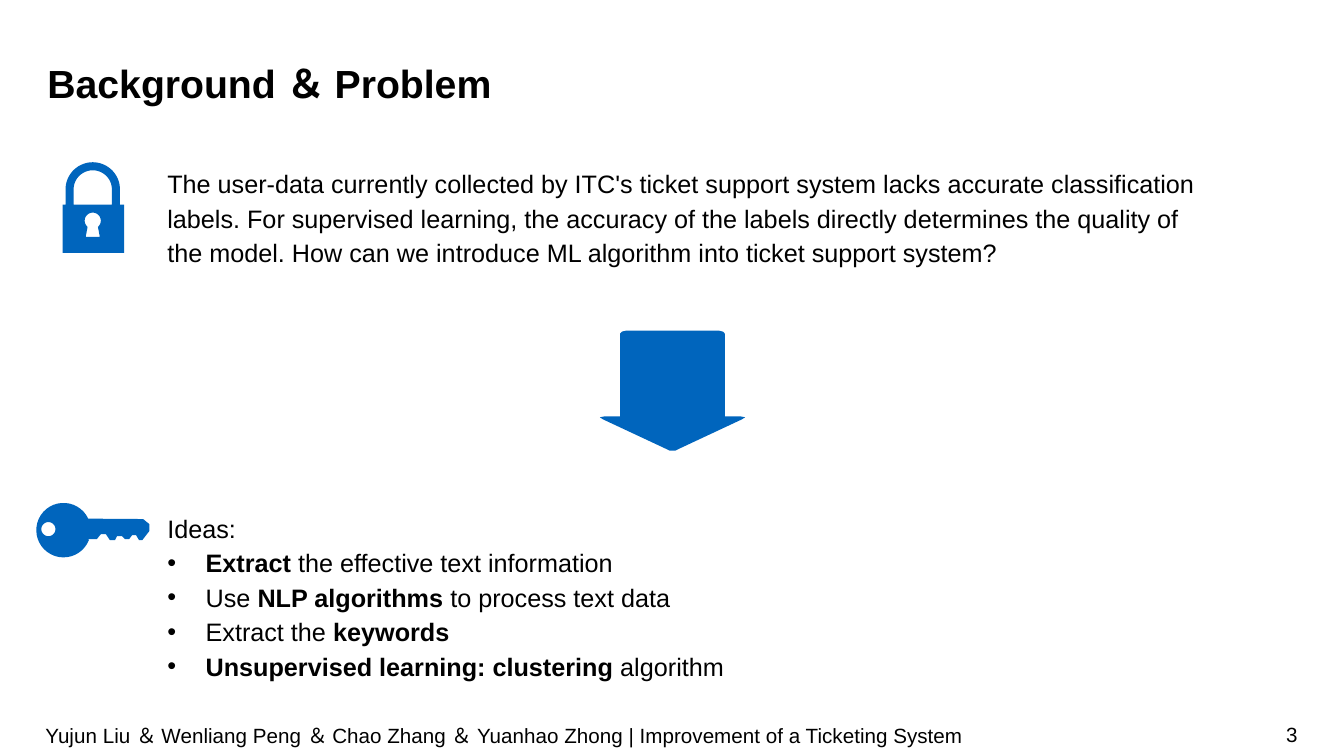
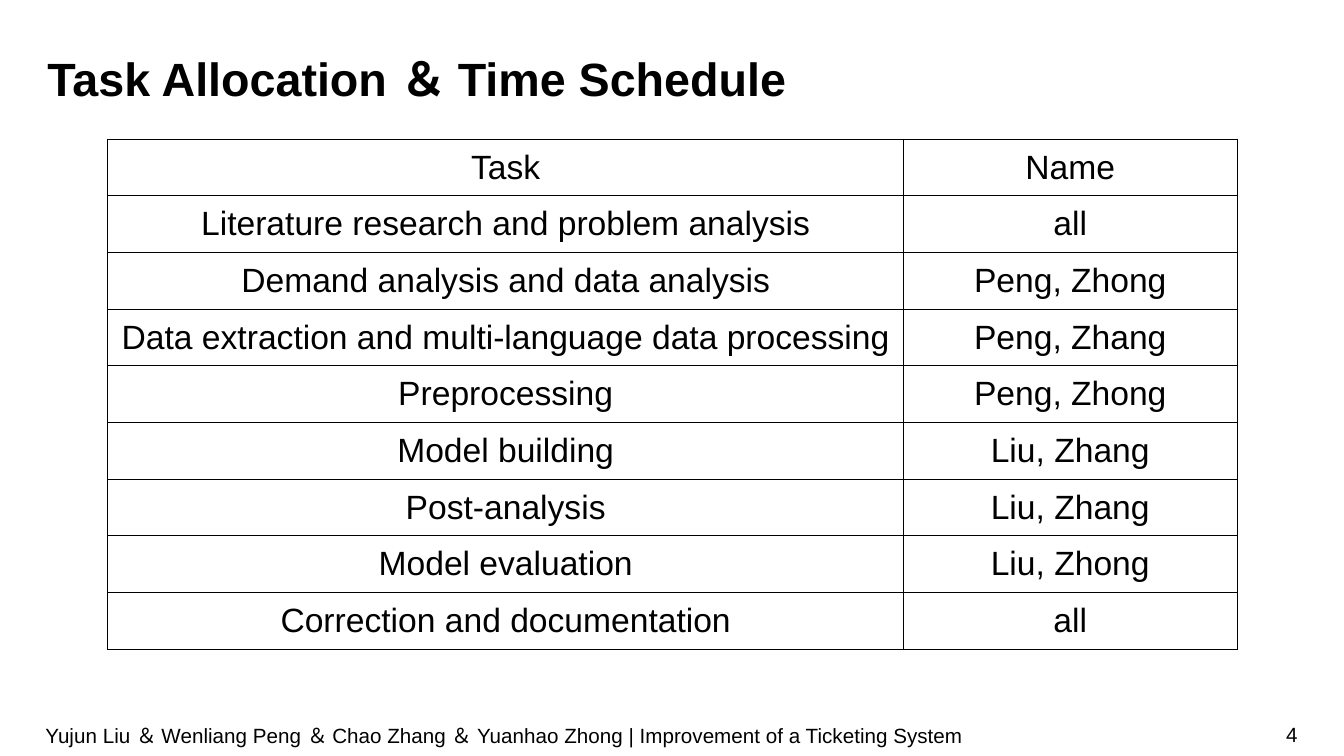
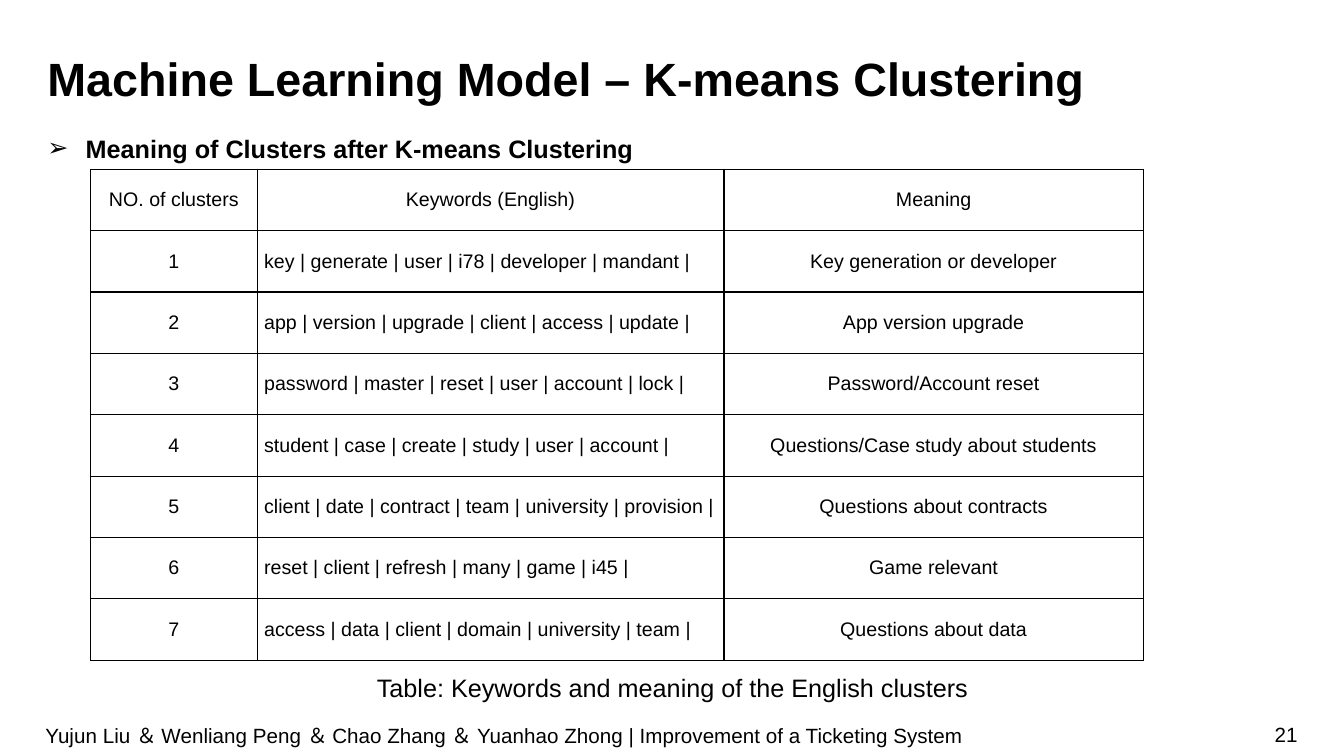
from math import cos, radians, sin

from lxml.etree import SubElement
from pptx import Presentation
from pptx.dml.color import RGBColor
from pptx.enum.text import MSO_ANCHOR as Anchor, MSO_AUTO_SIZE as AutoSize, PP_ALIGN as Align
from pptx.oxml import parse_xml
from pptx.oxml.ns import nsdecls, qn
from pptx.util import Inches, Pt

# Shared style
FONT, BLACK, BLUE = "Arial", "000000", "0065BD"
LIST_INDENT = 0.38
TITLE_BOX = (0.47, 0.46, 12.41, 0.56)
FOOTER_BOX = (0.45, 7.08, 11.42, 0.42)
NUMBER_BOX = (9.88, 7.08, 2.99, 0.4)
FOOTER = ("Yujun Liu ＆ Wenliang Peng ＆ Chao Zhang ＆ Yuanhao Zhong"
          " | Improvement of a Ticketing System")
TITLE_ONLY, TITLE_AND_BODY = 5, 1

# Content
PROBLEM = ("The user-data currently collected by ITC's ticket support system lacks accurate "
           "classification labels. For supervised learning, the accuracy of the labels directly "
           "determines the quality of the model. How can we introduce ML algorithm into ticket "
           "support system?")
# Double asterisks enclose bold words
IDEAS = [
    ("Ideas:", None),
    ("**Extract** the effective text information", "•"),
    ("Use **NLP algorithms** to process text data", "•"),
    ("Extract the **keywords**", "•"),
    ("**Unsupervised learning: clustering** algorithm", "•"),
]
TASKS = [
    ("Task", "Name"),
    ("Literature research and problem analysis", "all"),
    ("Demand analysis and data analysis", "Peng, Zhong"),
    ("Data extraction and multi-language data processing", "Peng, Zhang"),
    ("Preprocessing", "Peng, Zhong"),
    ("Model building", "Liu, Zhang"),
    ("Post-analysis", "Liu, Zhang"),
    ("Model evaluation", "Liu, Zhong"),
    ("Correction and documentation", "all"),
]
CLUSTERS = [
    ("NO. of clusters", "Keywords (English)", "Meaning"),
    ("1", "key | generate | user | i78 | developer | mandant |", "Key generation or developer"),
    ("2", "app | version | upgrade | client | access | update |", "App version upgrade"),
    ("3", "password | master | reset | user | account | lock |", "Password/Account reset"),
    ("4", "student | case | create | study | user | account |",
     "Questions/Case study about students"),
    ("5", "client | date | contract | team | university | provision |",
     "Questions about contracts"),
    ("6", "reset | client | refresh | many | game | i45 |", "Game relevant"),
    ("7", "access | data | client | domain | university | team |", "Questions about data"),
]


# Helpers
def color(value):
    return RGBColor.from_string(value)


def apply_format(target, formats):
    for name, value in formats.items():
        setattr(target, name, value)


def box(values):
    return [Inches(value) for value in values]


def set_bullet(paragraph, bullet):
    properties = paragraph._p.get_or_add_pPr()
    indent = Inches(LIST_INDENT) if bullet else 0
    properties.set("marL", str(indent))
    properties.set("indent", str(-indent))
    if bullet:
        SubElement(properties, qn("a:buFont")).set("typeface", FONT)
        SubElement(properties, qn("a:buChar")).set("char", bullet)
    else:
        SubElement(properties, qn("a:buNone"))


def write(paragraph, text, size, **formats):
    apply_format(paragraph, {"alignment": Align.LEFT, "space_before": Pt(0),
                             "space_after": Pt(0), **formats})
    for index, piece in enumerate(text.split("**")):
        if piece:
            run = paragraph.add_run()
            run.text = piece
            apply_format(run.font, {"name": FONT, "size": Pt(size), "bold": index % 2 == 1})
            run.font.color.rgb = color(BLACK)


def prepare_frame(shape, **formats):
    frame = shape.text_frame
    apply_format(frame, {"margin_left": 0, "margin_right": 0, "margin_top": 0,
                         "margin_bottom": 0, "word_wrap": True, "auto_size": AutoSize.NONE,
                         "vertical_anchor": Anchor.TOP, **formats})
    return frame


def place(shape, position):
    apply_format(shape, dict(zip(("left", "top", "width", "height"), box(position))))


def add_text(slide, position, text, size, frame_formats=None, **formats):
    shape = slide.shapes.add_textbox(*box(position))
    frame = prepare_frame(shape, **(frame_formats or {}))
    write(frame.paragraphs[0], text, size, **formats)


def fill_body(slide, position, items, **formats):
    body = slide.placeholders[1]
    place(body, position)
    frame = prepare_frame(body)
    for index, (text, bullet) in enumerate(items):
        paragraph = frame.add_paragraph() if index else frame.paragraphs[0]
        write(paragraph, text, 18, **formats)
        set_bullet(paragraph, bullet)


def add_slide(presentation, layout, title, title_size, number):
    slide = presentation.slides.add_slide(presentation.slide_layouts[layout])
    place(slide.shapes.title, TITLE_BOX)
    frame = prepare_frame(slide.shapes.title)
    write(frame.paragraphs[0], f"**{title}**", title_size, line_spacing=Pt(42.7))
    footer_frame = {"vertical_anchor": Anchor.MIDDLE,
                    "margin_top": Inches(0.05), "margin_bottom": Inches(0.05)}
    add_text(slide, NUMBER_BOX, str(number), 14.7, footer_frame, alignment=Align.RIGHT)
    add_text(slide, FOOTER_BOX, FOOTER, 14.7, footer_frame)
    return slide


def add_grid(slide, position, widths, rows, size, line_width, margin=0, left_column=None,
             spacing=0):
    table = slide.shapes.add_table(len(rows), len(widths), *box(position)).table
    apply_format(table, {"first_row": False, "horz_banding": False})
    for column, width in zip(table.columns, widths):
        column.width = Inches(width)
    for row_index, row in enumerate(rows):
        table.rows[row_index].height = Inches(position[3] / len(rows))
        for column_index, text in enumerate(row):
            cell = table.cell(row_index, column_index)
            apply_format(cell, {"margin_left": Inches(margin), "margin_right": Inches(margin),
                                "margin_top": 0, "margin_bottom": 0,
                                "vertical_anchor": Anchor.MIDDLE})
            is_left = row_index > 0 and column_index == left_column
            write(cell.text_frame.paragraphs[0], text, size,
                  alignment=Align.LEFT if is_left else Align.CENTER,
                  space_before=Pt(spacing), space_after=Pt(spacing))
            cell.fill.background()
            set_borders(cell, line_width)


def set_borders(cell, width):
    properties = cell._tc.get_or_add_tcPr()
    for index, side in enumerate("LRTB"):
        properties.insert(index, parse_xml(
            f'<a:ln{side} {nsdecls("a")} w="{Pt(width)}"><a:solidFill>'
            f'<a:srgbClr val="{BLACK}"/></a:solidFill></a:ln{side}>'))


def arc(center_x, center_y, radius, start, end, steps=36):
    angles = [radians(start + (end - start) * step / steps) for step in range(steps + 1)]
    return [(center_x + radius * cos(angle), center_y + radius * sin(angle))
            for angle in angles]


def add_icon(slide, *contours):
    """Draw closed contours as one shape; inner contours become holes."""
    outlines = [[box(point) for point in contour] for contour in contours]
    builder = slide.shapes.build_freeform(*outlines[0][0])
    for index, points in enumerate(outlines):
        if index:
            builder.move_to(*points[0])
        builder.add_line_segments(points[1:], close=True)
    shape = builder.convert_to_shape()
    shape.shadow.inherit = False
    shape.fill.solid()
    shape.fill.fore_color.rgb = color(BLUE)
    shape.line.fill.background()


# Icons
def add_lock(slide):
    body = [(1.19, 2.03), (1.23, 2.03), (1.23, 2.51), (0.62, 2.51), (0.62, 2.03), (0.65, 2.03)]
    shackle_hole = arc(0.92, 1.88, 0.19, 180, 360) + [(1.11, 2.03), (0.73, 2.03)]
    keyhole = arc(0.92, 2.19, 0.08, 130, 410) + [(0.99, 2.35), (0.85, 2.35)]
    add_icon(slide, arc(0.92, 1.88, 0.27, 180, 360) + body, shackle_hole, keyhole)


def add_key(slide):
    blade = [(1.42, 5.15), (1.48, 5.2), (1.48, 5.27), (1.41, 5.36), (1.38, 5.36), (1.35, 5.31),
             (1.31, 5.31), (1.28, 5.35), (1.24, 5.35), (1.21, 5.32), (1.16, 5.32), (1.14, 5.36),
             (1.09, 5.36), (1.05, 5.3), (1, 5.3), (0.96, 5.35), (0.88, 5.35)]
    add_icon(slide, arc(0.63, 5.26, 0.27, 22, 335) + blade, arc(0.48, 5.25, 0.07, 0, 360))


def add_down_arrow(slide):
    center = 6.67
    half = [(0.46, 3.28), (0.5, 3.29), (0.52, 3.31), (0.52, 4.13), (0.67, 4.13), (0.72, 4.14),
            (0.69, 4.16), (0.07, 4.45), (0.03, 4.47)]
    right = [(center + offset, y) for offset, y in half]
    left = [(center - offset, y) for offset, y in reversed(half)]
    add_icon(slide, right + left)


# Slides
def build_background(presentation):
    slide = add_slide(presentation, TITLE_AND_BODY, "Background ＆ Problem", 28, 3)
    add_lock(slide)
    add_text(slide, (1.66, 1.63, 10.36, 1.01), PROBLEM, 18, line_spacing=1.14)
    add_key(slide)
    fill_body(slide, (1.66, 5.05, 10.45, 1.7), IDEAS, line_spacing=1.14)
    add_down_arrow(slide)


def build_schedule(presentation):
    slide = add_slide(presentation, TITLE_ONLY, "Task Allocation ＆ Time Schedule", 33.3, 4)
    add_grid(slide, (1.07, 1.38, 11.2, 5.06), (7.89, 3.31), TASKS, 24, 0.75)


def build_clusters(presentation):
    slide = add_slide(presentation, TITLE_AND_BODY,
                      "Machine Learning Model – K-means Clustering", 33.3, 21)
    fill_body(slide, (0.47, 1.15, 12.41, 5.53),
              [("**Meaning of Clusters after K-means Clustering**", "➢")],
              line_spacing=1.57, space_before=Pt(6), space_after=Pt(6))
    add_text(slide, (3.48, 6.63, 6.38, 0.32),
             "Table: Keywords and meaning of the English clusters", 18,
             alignment=Align.CENTER, line_spacing=1.14)
    add_grid(slide, (0.9, 1.68, 10.43, 4.87), (1.65, 4.63, 4.16), CLUSTERS, 14, 1,
             margin=0.07, left_column=1, spacing=6)


def main():
    presentation = Presentation()
    apply_format(presentation, {"slide_width": Inches(13.33), "slide_height": Inches(7.5)})
    for build in (build_background, build_schedule, build_clusters):
        build(presentation)
    presentation.save("out.pptx")


if __name__ == "__main__":
    main()
